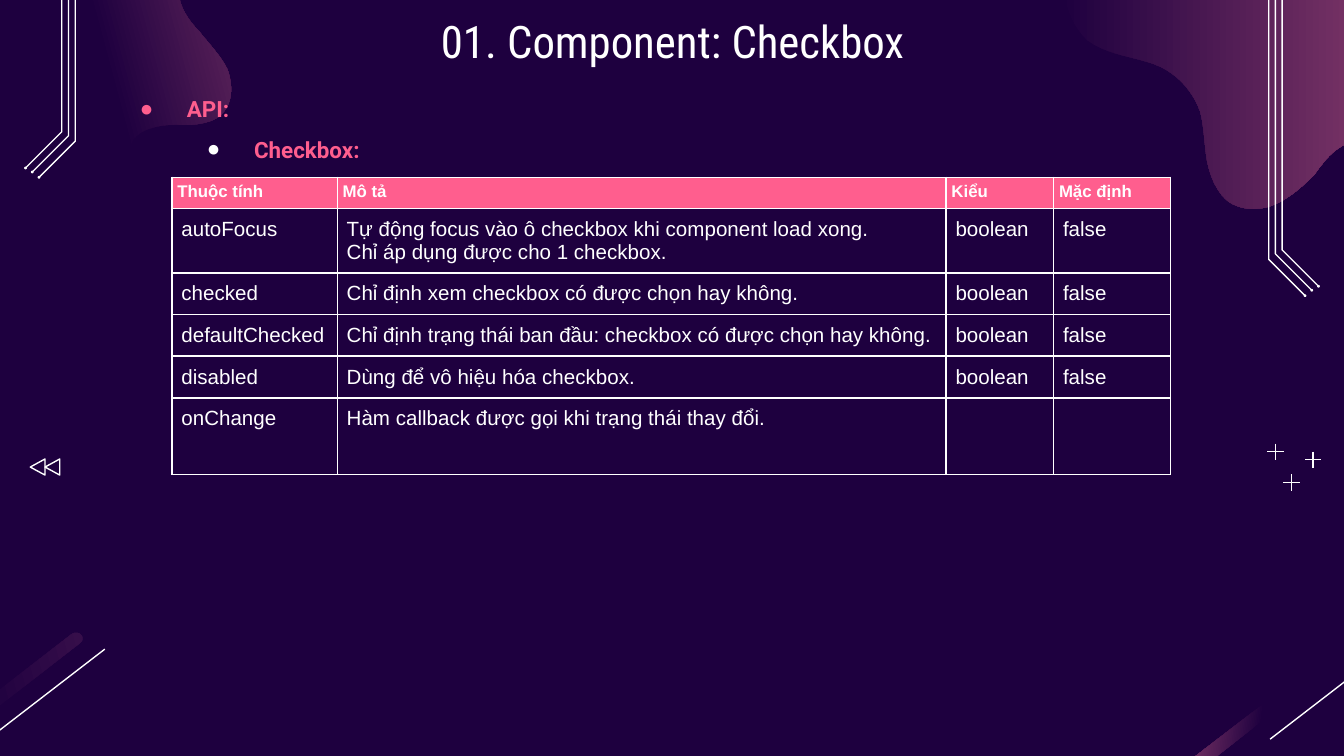
import lxml.etree
import pptx
import pptx.dml.color
import pptx.enum.shapes
import pptx.enum.text
import pptx.oxml.ns
import pptx.util

Inches = pptx.util.Inches
Pt = pptx.util.Pt
RGBColor = pptx.dml.color.RGBColor
qn = pptx.oxml.ns.qn

NIGHT = RGBColor(0x1E, 0x00, 0x3F)
MAUVE = RGBColor(0xA6, 0x4D, 0x79)
PLUM = RGBColor(0x36, 0x0E, 0x4A)
PINK = RGBColor(0xFF, 0x5E, 0x8E)
WHITE = RGBColor(0xFF, 0xFF, 0xFF)

LEFT_BLOB = [
    (0.48, 1.9), (0.74, 1.83, 0.86, 1.69, 0.9, 1.65),
    (0.98, 1.56, 1.01, 1.43, 0.99, 1.31), (0.98, 1.24, 0.95, 1.17, 0.97, 1.11),
    (0.98, 1.02, 1.06, 0.97, 1.14, 0.95), (1.24, 0.92, 1.33, 0.93, 1.42, 0.93),
    (1.52, 0.92, 1.61, 0.9, 1.66, 0.84), (1.74, 0.75, 1.73, 0.61, 1.69, 0.51),
    (1.64, 0.41, 1.55, 0.32, 1.48, 0.23), (1.4, 0.15, 1.33, 0.04, 1.33, -0.07),
    (1.59, -0.39), (2.28, -0.43), (2.59, -0.87), (1.67, -1.54), (-0.47, -0.82),
    (-1.94, 0.22), (-0.88, 0.99), (-0.6, 1.01, -0.24, 1.04, -0.13, 1.33),
    (-0.08, 1.44, -0.08, 1.55, -0.03, 1.66), (0.06, 1.84, 0.29, 1.95, 0.48, 1.9),
]
RIGHT_BLOB = [
    (7.89, -0.38), (7.89, -0.31, 7.89, -0.24, 7.9, -0.18),
    (7.91, 0, 7.96, 0.18, 8.09, 0.3), (8.25, 0.42, 8.47, 0.42, 8.64, 0.5),
    (8.78, 0.57, 8.88, 0.69, 8.93, 0.83), (8.96, 0.94, 8.96, 1.07, 8.98, 1.19),
    (9, 1.3, 9.05, 1.43, 9.14, 1.5), (9.24, 1.57, 9.38, 1.57, 9.49, 1.52),
    (9.6, 1.47, 9.69, 1.39, 9.78, 1.3), (9.83, 1.23, 9.88, 1.16, 9.95, 1.11),
    (10.02, 1.06, 10.1, 1.03, 10.18, 1.06), (10.52, 1.38), (11.25, 0.38),
    (11.05, -0.35), (8.52, -1.43),
]
STREAK = [
    (0.53, 0.1), (0.56, 0.08, 0.59, 0.09, 0.6, 0.1),
    (0.62, 0.12, 0.62, 0.15, 0.59, 0.17), (-0.81, 1.26),
    (-0.84, 1.27, -0.87, 1.27, -0.88, 1.25), (-0.9, 1.23, -0.9, 1.2, -0.87, 1.18),
]
COLUMN_WIDTHS = [1.23, 4.53, 0.8, 0.87]
ROW_HEIGHTS = [0.23, 0.48, 0.31, 0.31, 0.31, 0.57]
ROWS = [
    ["Thuộc tính", "Mô tả", "Kiểu", "Mặc định"],
    ["autoFocus", "Tự động focus vào ô checkbox khi component load xong.\n"
     "Chỉ áp dụng được cho 1 checkbox.", "boolean", "false"],
    ["checked", "Chỉ định xem checkbox có được chọn hay không.", "boolean", "false"],
    ["defaultChecked", "Chỉ định trạng thái ban đầu: checkbox có được chọn hay không.",
     "boolean", "false"],
    ["disabled", "Dùng để vô hiệu hóa checkbox.", "boolean", "false"],
    ["onChange", "Hàm callback được gọi khi trạng thái thay đổi.", "", ""],
]


def flatten(outline, steps=10):
    """Turn corners and cubic curves into a list of points."""
    points = [outline[0]]
    for part in outline[1:]:
        if len(part) == 2:
            points.append(part)
            continue
        knots = [points[-1], part[:2], part[2:4], part[4:]]
        for step in range(1, steps + 1):
            t = step / steps
            weights = [(1 - t) ** 3, 3 * t * (1 - t) ** 2, 3 * t * t * (1 - t), t ** 3]
            points.append(tuple(sum(w * knot[axis] for w, knot in zip(weights, knots))
                                for axis in (0, 1)))
    return points


def draw_outline(page, left, top, points, close=True):
    """Draw a freeform whose points are relative to left and top."""
    places = [(Inches(left + x), Inches(top + y)) for x, y in points]
    builder = page.shapes.build_freeform(*places[0])
    builder.add_line_segments(places[1:], close=close)
    shape = builder.convert_to_shape()
    shape.shadow.inherit = False
    return shape


def draw_gradient(page, left, top, outline, angle, end_color, start=0):
    """Draw a curved outline that fades from the background colour."""
    shape = draw_outline(page, left, top, flatten(outline))
    shape.line.fill.background()
    shape.fill.gradient()
    shape.fill.gradient_angle = angle
    for stop, color, position in zip(shape.fill.gradient_stops,
                                     (NIGHT, end_color), (start, 1)):
        stop.color.rgb = color
        stop.position = position


def draw_line(page, x1, y1, x2, y2):
    """Draw a thin white straight line."""
    line = page.shapes.add_connector(pptx.enum.shapes.MSO_CONNECTOR.STRAIGHT,
                                     Inches(x1), Inches(y1), Inches(x2), Inches(y2))
    line.line.color.rgb = WHITE
    line.line.width = Pt(0.75)
    lxml.etree.SubElement(line.element.spPr, qn("a:effectLst"))


def draw_streak(page, left, top, angle, end_color):
    """Draw a corner streak with its diagonal line."""
    draw_gradient(page, left, top, STREAK, angle, end_color, 0.5)
    draw_line(page, left + 0.78, top + 0.21, left - 0.09, top + 0.88)


def draw_circuit(page, edge, bend, side):
    """Draw three bent tracks measured from a page edge; side is 1 or -1."""
    reach, size = 0.27, 0.02
    for offset, drop in ((0.46, 0), (0.51, 0.03), (0.56, 0.07)):
        x, y = side * offset, bend + drop
        end_x, end_y = x - side * reach, y + reach
        track = draw_outline(page, edge, 0, [(x, 0), (x, y), (end_x, end_y)], close=False)
        track.fill.background()
        track.line.color.rgb = WHITE
        track.line.width = Pt(0.75)
        dot = page.shapes.add_shape(
            pptx.enum.shapes.MSO_SHAPE.OVAL, Inches(edge + end_x - size / 2),
            Inches(end_y - size / 2), Inches(size), Inches(size))
        dot.shadow.inherit = False
        dot.fill.solid()
        dot.fill.fore_color.rgb = WHITE
        dot.line.fill.background()


def draw_pluses(page, left, top):
    """Draw a cluster of three plus signs."""
    arm = 0.06
    for dx, dy in ((0.06, 0.06), (0.34, 0.12), (0.18, 0.29)):
        x, y = left + dx, top + dy
        draw_line(page, x - arm, y, x + arm, y)
        draw_line(page, x, y - arm, x, y + arm)


def draw_rewind(page, left, top):
    """Draw two triangles that point left."""
    for index in range(2):
        triangle = page.shapes.add_shape(
            pptx.enum.shapes.MSO_SHAPE.ISOSCELES_TRIANGLE,
            Inches(left + 0.11 * index), Inches(top), Inches(0.12), Inches(0.11))
        triangle.rotation = 270
        triangle.shadow.inherit = False
        triangle.fill.background()
        triangle.line.color.rgb = WHITE
        triangle.line.width = Pt(0.75)


def place_text(box, left, top, width, height):
    """Move a placeholder to the front and give it a box."""
    box.element.getparent().append(box.element)
    box.left, box.top, box.width, box.height = map(Inches, (left, top, width, height))
    frame = box.text_frame
    frame.word_wrap = True
    frame.auto_size = pptx.enum.text.MSO_AUTO_SIZE.NONE
    frame.vertical_anchor = pptx.enum.text.MSO_ANCHOR.TOP
    frame.margin_left = frame.margin_right = Inches(0.1)
    frame.margin_top = frame.margin_bottom = Inches(0.1)
    return frame


def set_font(para, name, size, color, bold=False):
    """Set the font of a paragraph."""
    font = para.font
    font.name, font.size, font.bold = name, Pt(size), bold
    font.color.rgb = color


def fill_list(box, left, top, width, height):
    """Write the two-level bullet list."""
    frame = place_text(box, left, top, width, height)
    frame.text = "API:\nCheckbox:"
    for level, (para, color) in enumerate(zip(frame.paragraphs, (PINK, WHITE))):
        para.level = level
        para.line_spacing = 1.5
        para.space_before = Pt(0)
        properties = para._p.get_or_add_pPr()
        properties.set("marL", str(Inches(0.5 * (level + 1))))
        properties.set("indent", str(Inches(-0.35)))
        bullet_color = lxml.etree.SubElement(properties, qn("a:buClr"))
        lxml.etree.SubElement(bullet_color, qn("a:srgbClr"), val=str(color))
        lxml.etree.SubElement(properties, qn("a:buFont"), typeface="Arial")
        lxml.etree.SubElement(properties, qn("a:buChar"), char="●")
        set_font(para, "Roboto", 12, PINK, True)


def fill_title(box, left, top, width, height):
    """Write the centred title."""
    frame = place_text(box, left, top, width, height)
    frame.text = "01. Component: Checkbox"
    para = frame.paragraphs[0]
    para.alignment = pptx.enum.text.PP_ALIGN.CENTER
    set_font(para, "Roboto Condensed", 24, WHITE)


def fill_cell(cell, text, is_header):
    """Write one cell with its fill, margins and white borders."""
    cell.text = text
    margin = Inches(0.04 if is_header else 0.07)
    cell.margin_left = cell.margin_right = cell.margin_top = cell.margin_bottom = margin
    for para in cell.text_frame.paragraphs:
        set_font(para, "Arial", 9 if is_header else 11, WHITE, is_header)
    properties = cell._tc.get_or_add_tcPr()
    for side in "LRTB":
        border = lxml.etree.SubElement(properties, qn("a:ln" + side), w=str(Pt(1)))
        solid = lxml.etree.SubElement(border, qn("a:solidFill"))
        lxml.etree.SubElement(solid, qn("a:srgbClr"), val=str(WHITE))
    if is_header:
        cell.fill.solid()
        cell.fill.fore_color.rgb = PINK
    else:
        cell.fill.background()


def add_api_table(page, left, top):
    """Add the table of checkbox properties."""
    table = page.shapes.add_table(
        len(ROWS), len(COLUMN_WIDTHS), Inches(left), Inches(top),
        Inches(sum(COLUMN_WIDTHS)), Inches(sum(ROW_HEIGHTS))).table
    table.first_row = table.horz_banding = False
    for column, width in zip(table.columns, COLUMN_WIDTHS):
        column.width = Inches(width)
    for r, (texts, height) in enumerate(zip(ROWS, ROW_HEIGHTS)):
        table.rows[r].height = Inches(height)
        for c, text in enumerate(texts):
            fill_cell(table.cell(r, c), text, r == 0)


def main():
    """Build and save the deck."""
    deck = pptx.Presentation()
    deck.slide_width, deck.slide_height = Inches(10), Inches(10 * 9 / 16)
    page = deck.slides.add_slide(deck.slide_layouts[1])
    page.background.fill.solid()
    page.background.fill.fore_color.rgb = NIGHT
    draw_gradient(page, 0, 0, LEFT_BLOB, 15, MAUVE, 0.57)
    draw_gradient(page, 0, 0, RIGHT_BLOB, 0, MAUVE)
    draw_streak(page, 0, 4.62, 15, PLUM)
    draw_streak(page, 9.54, 4.62, 173, MAUVE)
    draw_circuit(page, 10, 1.86, -1)
    draw_circuit(page, 0, 0.98, 1)
    draw_pluses(page, 9.43, 3.3)
    draw_rewind(page, 0.22, 3.42)
    fill_list(page.placeholders[1], 0.79, 0.51, 8.12, 0.73)
    fill_title(page.shapes.title, 0.79, 0, 8.43, 0.63)
    add_api_table(page, 1.28, 1.32)
    deck.save("out.pptx")


if __name__ == "__main__":
    main()
